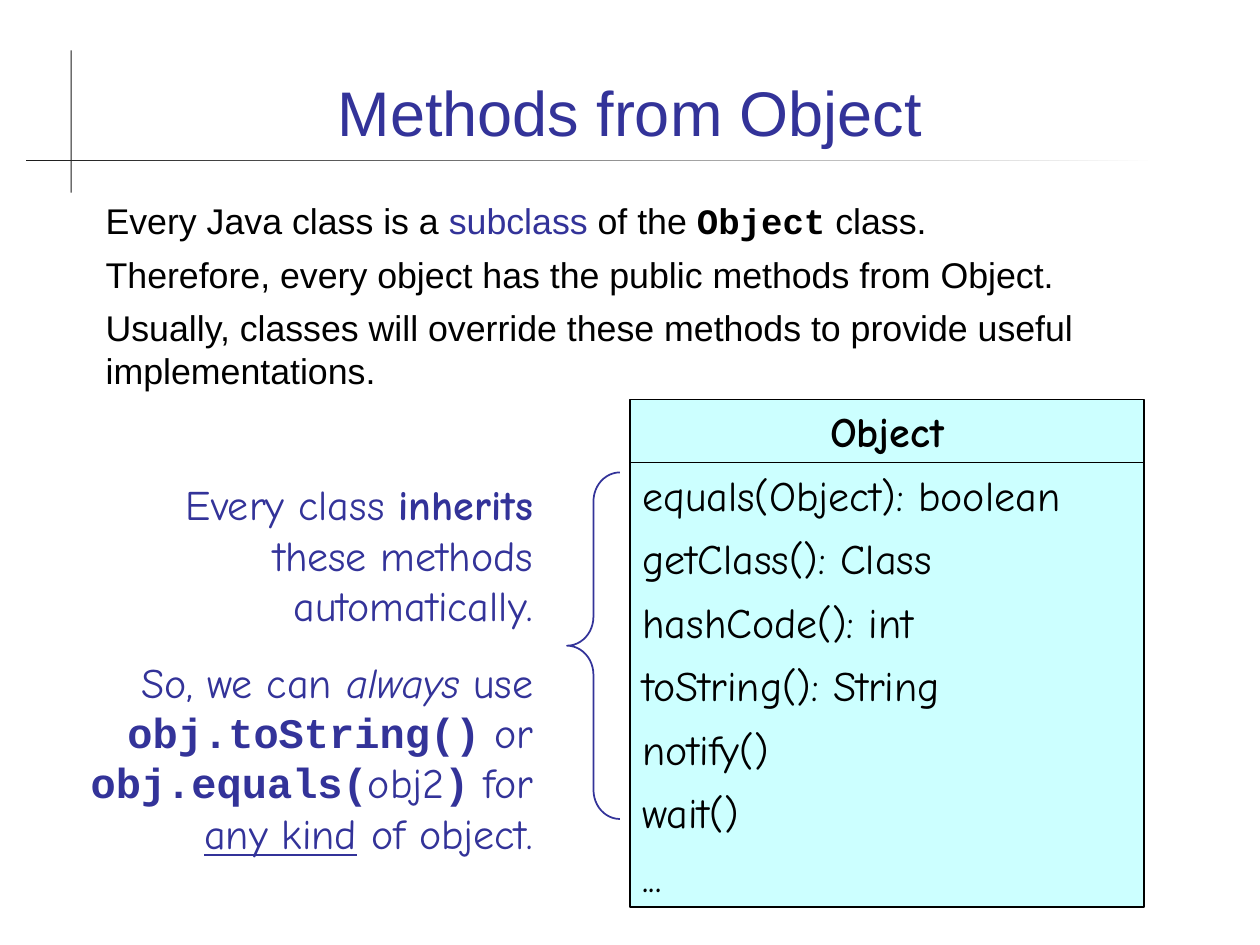
"""Build the slide on the methods every class gets from Object."""
from dataclasses import dataclass

from lxml.etree import SubElement
from pptx import Presentation
from pptx.dml.color import RGBColor as Rgb
from pptx.enum.shapes import MSO_CONNECTOR as Link, MSO_SHAPE as Form
from pptx.enum.text import MSO_ANCHOR as Anchor, PP_ALIGN as Align
from pptx.oxml.ns import qn
from pptx.util import Inches, Pt


@dataclass(frozen=True)
class Theme:
    ink: Rgb = Rgb.from_string("000000")
    blue: Rgb = Rgb.from_string("333399")
    rule: Rgb = Rgb.from_string("1C1C1C")
    pale: Rgb = Rgb.from_string("CCFFFF")
    white: Rgb = Rgb.from_string("FFFFFF")
    sans: str = "Arial"
    hand: str = "Comic Neue"
    code: str = "Courier New"
    head: float = 36
    body: float = 20.4
    note: float = 24


look = Theme()
deck = Presentation()
deck.slide_width, deck.slide_height = Inches(10), Inches(7.5)
slide = deck.slides.add_slide(deck.slide_layouts[6])
shapes = slide.shapes


def area(x, y, wide, high):
    """Turn percent shares of the slide into lengths."""
    across, down = deck.slide_width / 100, deck.slide_height / 100
    return [round(v) for v in (x * across, y * down, wide * across, high * down)]


def write(frame, lines, face, size, color, align=Align.LEFT, gap=0):
    """Fill a frame; the marks are b bold, i italic, u underline, c code, a accent."""
    frame.word_wrap = True
    for n, line in enumerate(lines):
        para = frame.add_paragraph() if n else frame.paragraphs[0]
        para.alignment = align
        para.space_before = Pt(gap if n else 0)
        para.font.name, para.font.size = face, Pt(size)
        para.font.color.rgb = color
        for text, marks in line:
            run = para.add_run()
            run.text = text
            if "b" in marks:
                run.font.bold = True
            if "i" in marks:
                run.font.italic = True
            if "u" in marks:
                run.font.underline = True
            if "c" in marks:
                run.font.name = look.code
            if "a" in marks:
                run.font.color.rgb = look.blue


post = shapes.add_shape(Form.RECTANGLE, *area(5.6, 5.33, 0.1, 15.07))
post.fill.solid()
post.fill.fore_color.rgb = look.rule
beam = shapes.add_shape(Form.RECTANGLE, *area(2.1, 16.93, 89.8, 0.13))
beam.fill.gradient()
beam.fill.gradient_angle = 180
for stop, color in zip(beam.fill.gradient_stops, (look.white, look.rule)):
    stop.color.rgb = color
for bar in (post, beam):
    bar.line.fill.background()
    bar.shadow.inherit = False

title = shapes.add_textbox(*area(6.7, 3.73, 86.6, 12.67)).text_frame
title.vertical_anchor = Anchor.BOTTOM
write(title, [[("Methods from Object", "")]],
      look.sans, look.head, look.blue, Align.CENTER)

body = shapes.add_textbox(*area(7.4, 20.4, 86.6, 21.87)).text_frame
write(body, [
    [("Every Java class is a ", ""), ("subclass", "a"), (" of the ", ""),
     ("Object", "bc"), (" class.", "")],
    [("Therefore, every object has the public methods from Object.", "")],
    [("Usually, classes will override these methods to provide useful "
      "implementations.", "")],
], look.sans, look.body, look.ink, gap=6)

card = shapes.add_shape(Form.RECTANGLE, *area(50, 42.27, 40.8, 53.73))
card.shadow.inherit = False
card.fill.solid()
card.fill.fore_color.rgb = look.pale
card.line.color.rgb, card.line.width = look.ink, Pt(1)
card.text_frame.vertical_anchor = Anchor.TOP
names = ["equals(Object): boolean", "getClass(): Class", "hashCode(): int",
         "toString(): String", "notify()", "wait()", "..."]
write(card.text_frame, [[("Object", "b")]] + [[(name, "")] for name in names],
      look.hand, look.note, look.ink, gap=7.5)
card.text_frame.paragraphs[0].alignment = Align.CENTER

left, top, wide, _ = area(50, 48.93, 40.8, 0)
split = shapes.add_connector(Link.STRAIGHT, left, top, left + wide, top)
split.line.color.rgb, split.line.width = look.ink, Pt(0.75)
SubElement(split._element.spPr, qn("a:effectLst"))

note = shapes.add_textbox(*area(5.8, 50, 37.5, 41.47)).text_frame
write(note, [
    [("Every class ", ""), ("inherits", "b"),
     (" these methods automatically.", "")],
    [("So, we can ", ""), ("always", "i"), (" use ", ""),
     ("obj.toString()", "bc"), (" or ", ""), ("obj.equals(", "bc"),
     ("obj2", ""), (")", "bc"), (" for ", ""), ("any kind", "u"),
     (" of object.", "")],
], look.hand, look.note, look.blue, Align.RIGHT, 15)

brace = shapes.add_shape(Form.LEFT_BRACE, *area(45, 50, 4.2, 36.67))
brace.adjustments[0] = 0.55
brace.shadow.inherit = False
brace.fill.background()
brace.line.color.rgb, brace.line.width = look.blue, Pt(1)

deck.save("out.pptx")
